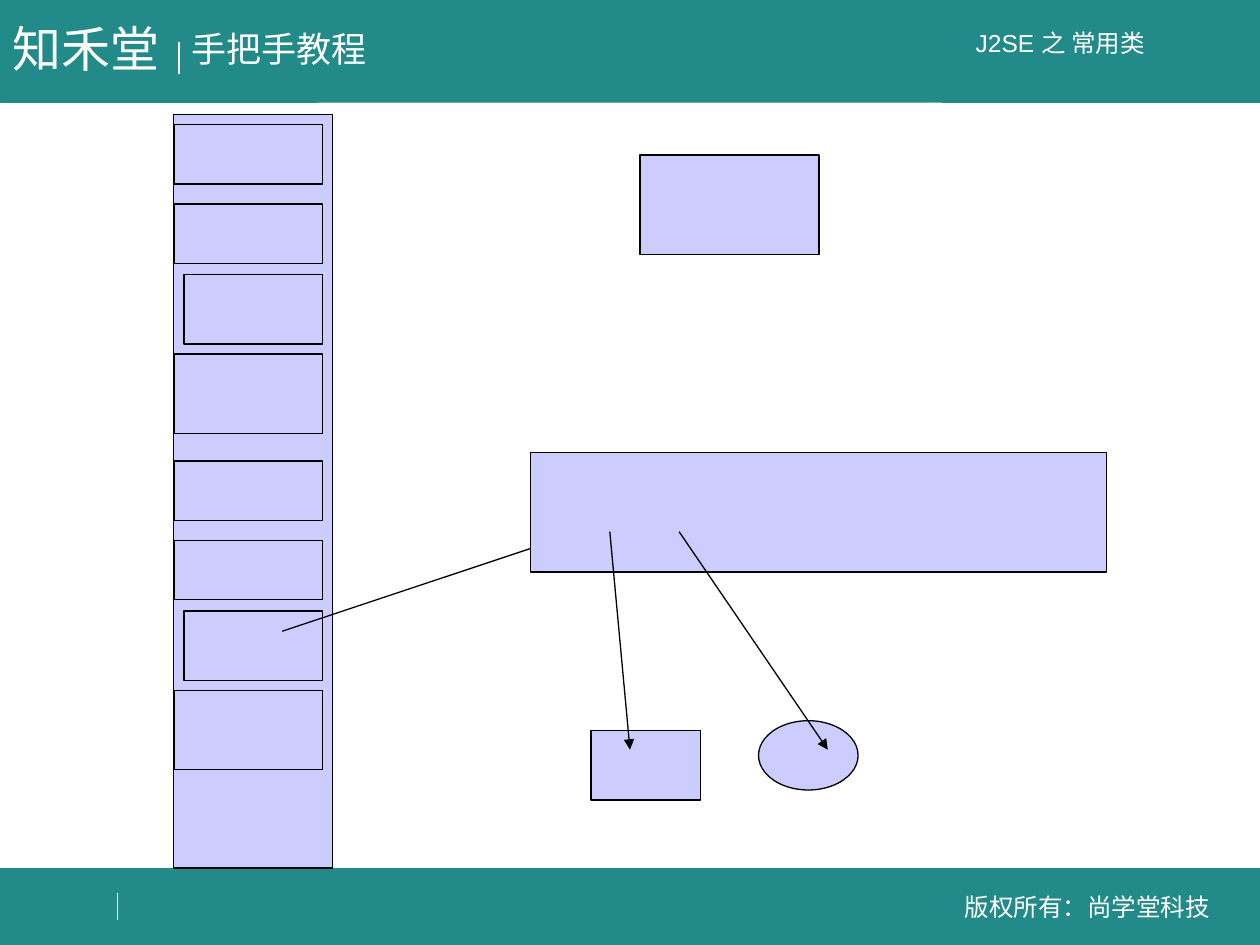
from dataclasses import dataclass

from lxml import etree
from pptx import Presentation
from pptx.dml.color import RGBColor
from pptx.enum.shapes import MSO_CONNECTOR, MSO_SHAPE
from pptx.enum.text import MSO_ANCHOR, MSO_AUTO_SIZE, PP_ALIGN
from pptx.oxml.ns import qn
from pptx.util import Inches, Pt

RECTANGLE = MSO_SHAPE.RECTANGLE
OVAL = MSO_SHAPE.OVAL
STRAIGHT = MSO_CONNECTOR.STRAIGHT
TOP, MIDDLE = MSO_ANCHOR.TOP, MSO_ANCHOR.MIDDLE
LEFT, CENTER = PP_ALIGN.LEFT, PP_ALIGN.CENTER
GROW = MSO_AUTO_SIZE.SHAPE_TO_FIT_TEXT


@dataclass(frozen=True)
class Theme:
    """Colours, type sizes and line widths of the slide."""
    band: RGBColor = RGBColor(0x22, 0x8A, 0x88)
    light: RGBColor = RGBColor(0xFF, 0xFF, 0xFF)
    memory: RGBColor = RGBColor(0xCC, 0xCC, 0xFF)
    ink: RGBColor = RGBColor(0, 0, 0)
    font: str = "Arial"
    brand_size: int = 28
    course_size: int = 20
    label_size: int = 14
    band_line: float = 0.25
    line: float = 0.75


THEME = Theme()


def add_block(slide, box, kind=RECTANGLE, fill=THEME.memory, line=THEME.ink, width=THEME.line):
    """Add a filled and outlined preset shape."""
    shape = slide.shapes.add_shape(kind, *map(Inches, box))
    shape.shadow.inherit = False
    shape.fill.solid()
    shape.fill.fore_color.rgb = fill
    shape.line.color.rgb = line
    shape.line.width = Pt(width)


def add_line(slide, start, end, color=THEME.ink, arrow=False):
    """Add a straight line, with an arrowhead at its end if asked."""
    connector = slide.shapes.add_connector(STRAIGHT, *map(Inches, start + end))
    connector.line.color.rgb = color
    connector.line.width = Pt(THEME.line)
    properties = connector._element.spPr
    if arrow:
        outline = properties.find(qn("a:ln"))
        etree.SubElement(outline, qn("a:tailEnd"), type="triangle")
    etree.SubElement(properties, qn("a:effectLst"))


def add_label(slide, box, text, size, anchor=MIDDLE, align=CENTER, wrap=True, space_after=0):
    """Add a one-line white label."""
    frame = slide.shapes.add_textbox(*map(Inches, box)).text_frame
    frame.word_wrap = wrap
    frame.auto_size = GROW
    frame.vertical_anchor = anchor
    paragraph = frame.paragraphs[0]
    paragraph.alignment = align
    paragraph.space_after = Pt(space_after)
    run = paragraph.add_run()
    run.text = text
    run.font.name = THEME.font
    run.font.size = Pt(size)
    run.font.color.rgb = THEME.light


def add_bands(slide):
    """Add the header and footer with their labels."""
    for top, height in ((6.89, 0.61), (0, 0.81)):
        add_block(slide, (0, top, 10, height), fill=THEME.band, line=THEME.band,
                  width=THEME.band_line)
    for x, top, bottom in ((1.42, 0.33, 0.59), (0.93, 7.09, 7.3)):
        add_line(slide, (x, top), (x, bottom), THEME.light)
    add_label(slide, (1.42, 0.17, 1.59, 0.44), "手把手教程", THEME.course_size,
              TOP, LEFT, wrap=False, space_after=5)
    add_label(slide, (7.47, 7.03, 2.32, 0.34), "版权所有：尚学堂科技", THEME.label_size)
    add_label(slide, (6.83, 0.17, 3.17, 0.34), "J2SE 之 常用类", THEME.label_size)
    add_label(slide, (0, 0.1, 1.4, 0.57), "知禾堂", THEME.brand_size,
              TOP, LEFT, wrap=False, space_after=7)


def add_stack(slide):
    """Add the tall column with two equal groups of four cells."""
    add_block(slide, (1.38, 0.91, 1.26, 5.98))
    right = 2.56
    cells = ((1.38, 0.99, 0.47), (1.38, 1.62, 0.47), (1.46, 2.18, 0.55), (1.38, 2.81, 0.63))
    for offset in (0, 2.67):
        for left, top, height in cells:
            add_block(slide, (left, top + offset, right - left, height))


def add_objects(slide):
    """Add the objects beside the column and the references between them."""
    add_line(slide, (2.24, 5.01), (4.37, 4.3), arrow=True)
    add_block(slide, (4.21, 3.59, 4.57, 0.95))
    add_block(slide, (4.69, 5.8, 0.87, 0.55))
    add_block(slide, (6.02, 5.72, 0.79, 0.55), OVAL)
    add_line(slide, (4.84, 4.22), (5, 5.95), arrow=True)
    add_line(slide, (5.39, 4.22), (6.57, 5.95), arrow=True)
    add_block(slide, (5.08, 1.23, 1.42, 0.79))


def main():
    """Build and save the slide."""
    presentation = Presentation()
    presentation.slide_width = Inches(10)
    presentation.slide_height = Inches(7.5)
    slide = presentation.slides.add_slide(presentation.slide_layouts[6])
    add_bands(slide)
    add_stack(slide)
    add_objects(slide)
    presentation.save("out.pptx")


if __name__ == "__main__":
    main()
